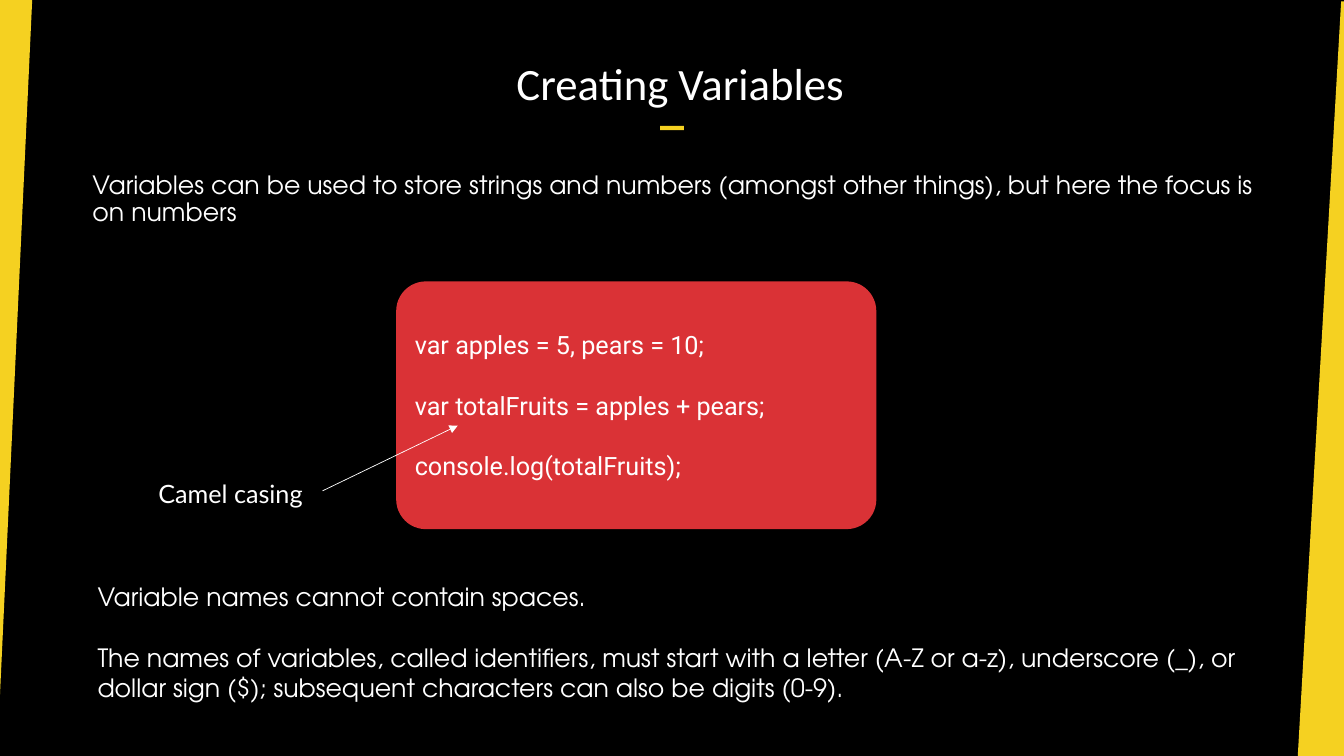
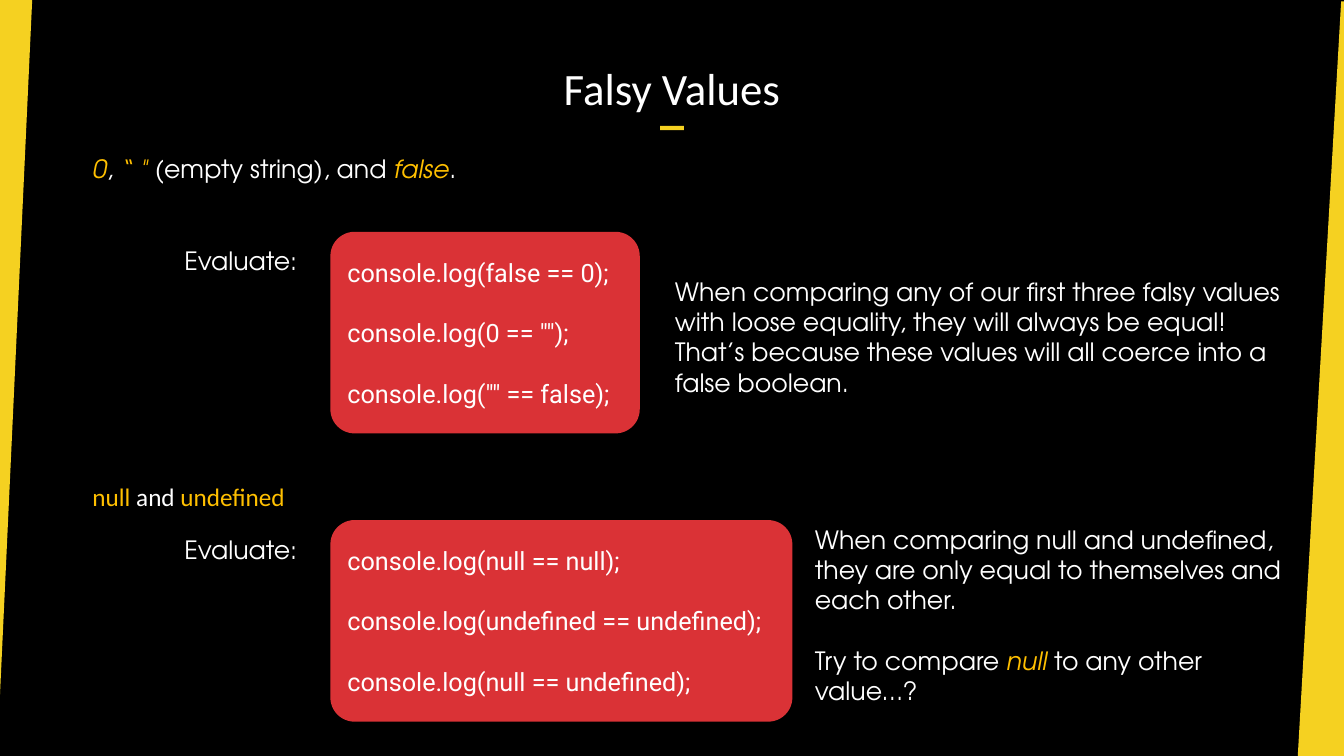
import pptx
import pptx.util
import pptx.dml.color
import pptx.enum.shapes
import pptx.enum.text
import pptx.oxml
import pptx.oxml.ns

Pt = pptx.util.Pt
Shape = pptx.enum.shapes.MSO_SHAPE
Align = pptx.enum.text.PP_ALIGN
Anchor = pptx.enum.text.MSO_ANCHOR

HUES = {"back": "000000", "text": "FFFFFF", "band": "F5D121",
        "code": "DA3236", "key": "FFC000"}
BODY = "TeX Gyre Adventor"
GAP = 21.6


def paint(shape, hue):
    shape.shadow.inherit = False
    shape.fill.solid()
    shape.fill.fore_color.rgb = pptx.dml.color.RGBColor.from_string(HUES[hue])
    shape.line.fill.background()


def write(page, box, text, font=BODY, size=18, gap=0, lead=None, slant=True,
          align=Align.LEFT, anchor=Anchor.TOP, pad=(3.6, 3.6), fill=None):
    area = [Pt(n) for n in box]
    if fill:
        shape = page.shapes.add_shape(Shape.ROUNDED_RECTANGLE, *area)
        shape.adjustments[0] = 0.12
        paint(shape, fill)
    else:
        shape = page.shapes.add_textbox(*area)
    frame = shape.text_frame
    frame.word_wrap = True
    frame.vertical_anchor = anchor
    frame.margin_top, frame.margin_bottom = [Pt(n) for n in pad]
    for row, line in enumerate(text.split("\n")):
        para = frame.add_paragraph() if row else frame.paragraphs[0]
        para.alignment = align
        if lead:
            para.line_spacing = lead
        if row and gap:
            para.space_before = Pt(gap)
        for spot, part in enumerate(line.split("|")):
            if not part:
                continue
            run = para.add_run()
            run.text = part
            run.font.name = font
            run.font.size = Pt(size)
            key = spot % 2 == 1
            run.font.italic = key and slant
            hue = HUES["key" if key else "text"]
            run.font.color.rgb = pptx.dml.color.RGBColor.from_string(hue)


deck = pptx.Presentation()
deck.slide_width, deck.slide_height = Pt(960), Pt(540)
ground = deck.slide_master.background.fill
ground.solid()
ground.fore_color.rgb = pptx.dml.color.RGBColor.from_string(HUES["back"])

bands = [
    [(0, 0), (23.2, 0), (0, 496)],
    [(958.3, 0.7), (960, 0.7), (960, 540), (927.4, 540)],
]
heads = [("Creating Variables", 285, 24.5), ("Falsy Values", 279, 28)]
pages = []
for title, left, top in heads:
    page = deck.slides.add_slide(deck.slide_layouts[6])
    pages.append(page)
    for first, *rest in bands:
        path = page.shapes.build_freeform(*first, scale=Pt(1))
        path.add_line_segments(rest)
        paint(path.convert_to_shape(), "band")
    dash = page.shapes.add_shape(Shape.RECTANGLE, Pt(471.5), Pt(90), Pt(17), Pt(3))
    paint(dash, "band")
    write(page, (left, top, 402, 54), title, font="Calibri", size=32,
          align=Align.CENTER, anchor=Anchor.BOTTOM, pad=(3, 0))

names, falsy = pages

write(names, (59, 120, 848, 47),
      "Variables can be used to store strings and numbers (amongst other things), "
      "but here the focus is on numbers", lead=0.9)
write(names, (106, 338, 124, 29), "Camel casing", font="Lato")
write(names, (62.6, 412, 848, 94),
      "Variable names cannot contain spaces.\n"
      "The names of variables, called identifiers, must start with a letter "
      "(A-Z or a-z), underscore (_), or dollar sign ($); subsequent characters "
      "can also be digits (0-9).", gap=GAP)

write(falsy, (59, 106, 832, 29), "|0|, |“ \"| (empty string), and |false|.")
write(falsy, (59, 340, 160, 29), "|null |and| undefined|", font="Calibri", slant=False)
for top in (172, 378):
    write(falsy, (124.6, top, 110, 29), "Evaluate:")
write(falsy, (475, 193.7, 480, 94),
      "When comparing any of our first three falsy values with loose equality, "
      "they will always be equal!\n"
      "That’s because these values will all coerce into a false boolean.")
write(falsy, (575, 370.8, 352, 117),
      "When comparing null and undefined, they are only equal to themselves "
      "and each other.\n"
      "Try to compare |null| to any other value…?", gap=GAP)

codes = [
    (names, (283, 201, 343, 177),
     "var apples = 5, pears = 10;\n"
     "var totalFruits = apples + pears;\n"
     "console.log(totalFruits);"),
    (falsy, (236, 165.6, 221, 144),
     "console.log(false == 0);\n"
     "console.log(0 == \"\");\n"
     "console.log(\"\" == false);"),
    (falsy, (236, 371.5, 330, 144),
     "console.log(null == null);\n"
     "console.log(undefined == undefined);\n"
     "console.log(null == undefined);"),
]
for page, box, text in codes:
    write(page, box, text, font="Roboto", gap=GAP, anchor=Anchor.MIDDLE, fill="code")

arrow = names.shapes.add_connector(
    pptx.enum.shapes.MSO_CONNECTOR.STRAIGHT, Pt(230.4), Pt(350.6), Pt(327), Pt(304))
arrow.line.width = Pt(0.5)
arrow.line.color.rgb = pptx.dml.color.RGBColor.from_string(HUES["text"])
props = arrow.line._get_or_add_ln()
space = pptx.oxml.ns.nsdecls("a")
props.append(pptx.oxml.parse_xml(f'<a:tailEnd {space} type="triangle"/>'))
props.getparent().append(pptx.oxml.parse_xml(f"<a:effectLst {space}/>"))

deck.save("out.pptx")
